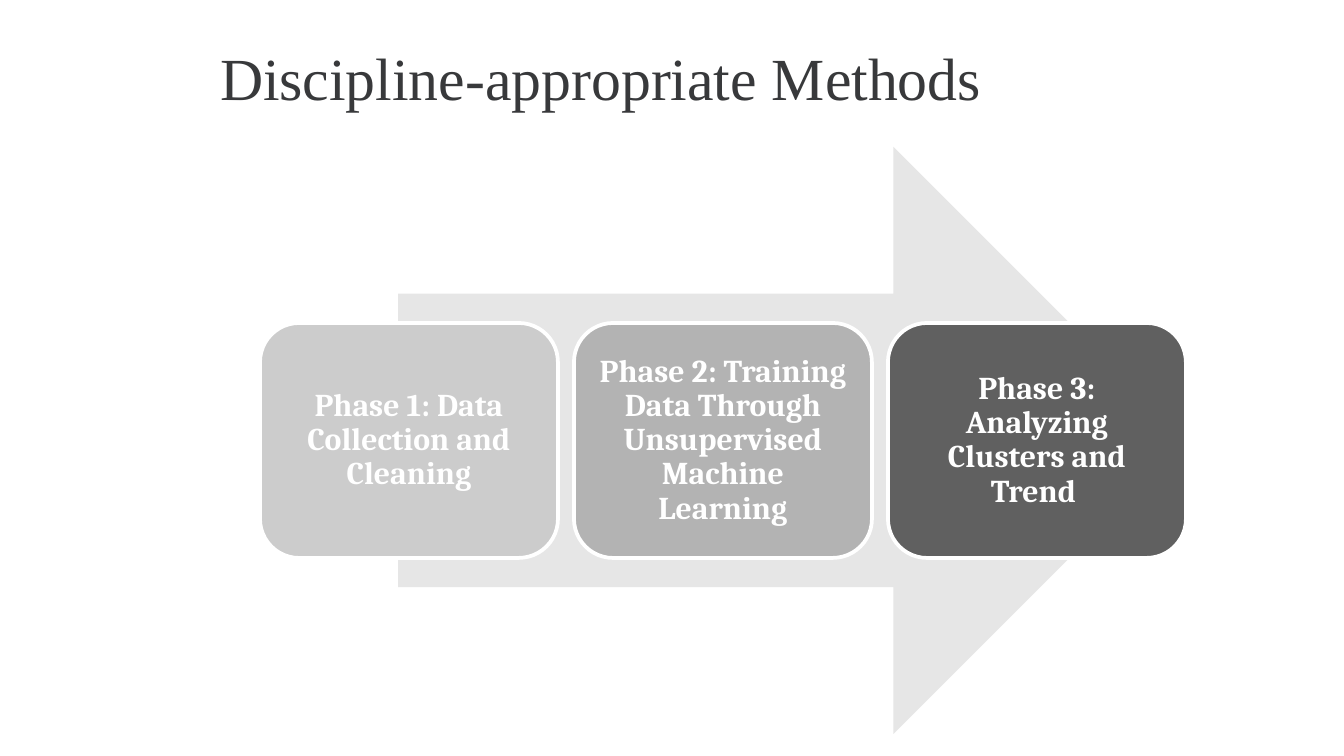
from pptx import Presentation, util as u
from pptx.dml.color import RGBColor
from pptx.enum import shapes, text

TITLE = "Discipline-appropriate Methods"
PHASES = [
    ("Phase 1: Data Collection and Cleaning", "CCCCCC"),
    ("Phase 2: Training Data Through Unsupervised Machine Learning", "B3B3B3"),
    ("Phase 3: Analyzing Clusters and Trend ", "606060"),
]
THEME = {
    "ink": "38393B", "arrow": "E6E6E6", "white": "FFFFFF",
    "head": ("Times New Roman", 32), "body": ("Cambria", 17), "edge": 2,
}
SLIDE = (1344, 756)
PX = u.Inches(10) / SLIDE[0]
HEAD = (207, 28, 1068, 126)
ARROW = (398, 147, 789, 587)
CARD = (260, 323, 298, 235)
GAP = 16
KIND = shapes.MSO_SHAPE


def px(n):
    return u.Emu(round(n * PX))


def rgb(key):
    return RGBColor.from_string(THEME.get(key, key))


def assign(obj, vals):
    for key, val in vals.items():
        setattr(obj, key, val)


def write(shape, words, face, ink, pad, anchor, para, bold):
    frame = shape.text_frame
    frame.text = words
    sides = ("left", "top", "right", "bottom")
    assign(frame, {f"margin_{side}": px(pad) for side in sides})
    assign(frame, {"word_wrap": True, "vertical_anchor": anchor,
                   "auto_size": text.MSO_AUTO_SIZE.NONE})
    line = frame.paragraphs[0]
    assign(line, para)
    font = line.runs[0].font
    name, size = THEME[face]
    assign(font, {"name": name, "size": u.Pt(size), "bold": bold})
    font.color.rgb = rgb(ink)


def draw(slide, kind, box, fill):
    shape = slide.shapes.add_shape(kind, *map(px, box))
    shape.shadow.inherit = False
    shape.fill.solid()
    shape.fill.fore_color.rgb = rgb(fill)
    return shape


def main():
    deck = Presentation()
    deck.slide_width, deck.slide_height = map(px, SLIDE)
    slide = deck.slides.add_slide(deck.slide_layouts[5])

    title = slide.shapes.title
    assign(title, dict(zip(("left", "top", "width", "height"), map(px, HEAD))))
    write(title, TITLE, "head", "ink", 13, text.MSO_ANCHOR.TOP,
          {"alignment": text.PP_ALIGN.LEFT}, False)

    arrow = draw(slide, KIND.RIGHT_ARROW, ARROW, "arrow")
    arrow.line.fill.background()

    left, top, wide, high = CARD
    for i, (words, fill) in enumerate(PHASES):
        box = (left + i * (wide + GAP), top, wide, high)
        card = draw(slide, KIND.ROUNDED_RECTANGLE, box, fill)
        card.line.color.rgb = rgb("white")
        card.line.width = u.Pt(THEME["edge"])
        write(card, words, "body", "white", 9, text.MSO_ANCHOR.MIDDLE,
              {"alignment": text.PP_ALIGN.CENTER, "line_spacing": 0.9}, True)

    deck.save("out.pptx")


if __name__ == "__main__":
    main()
